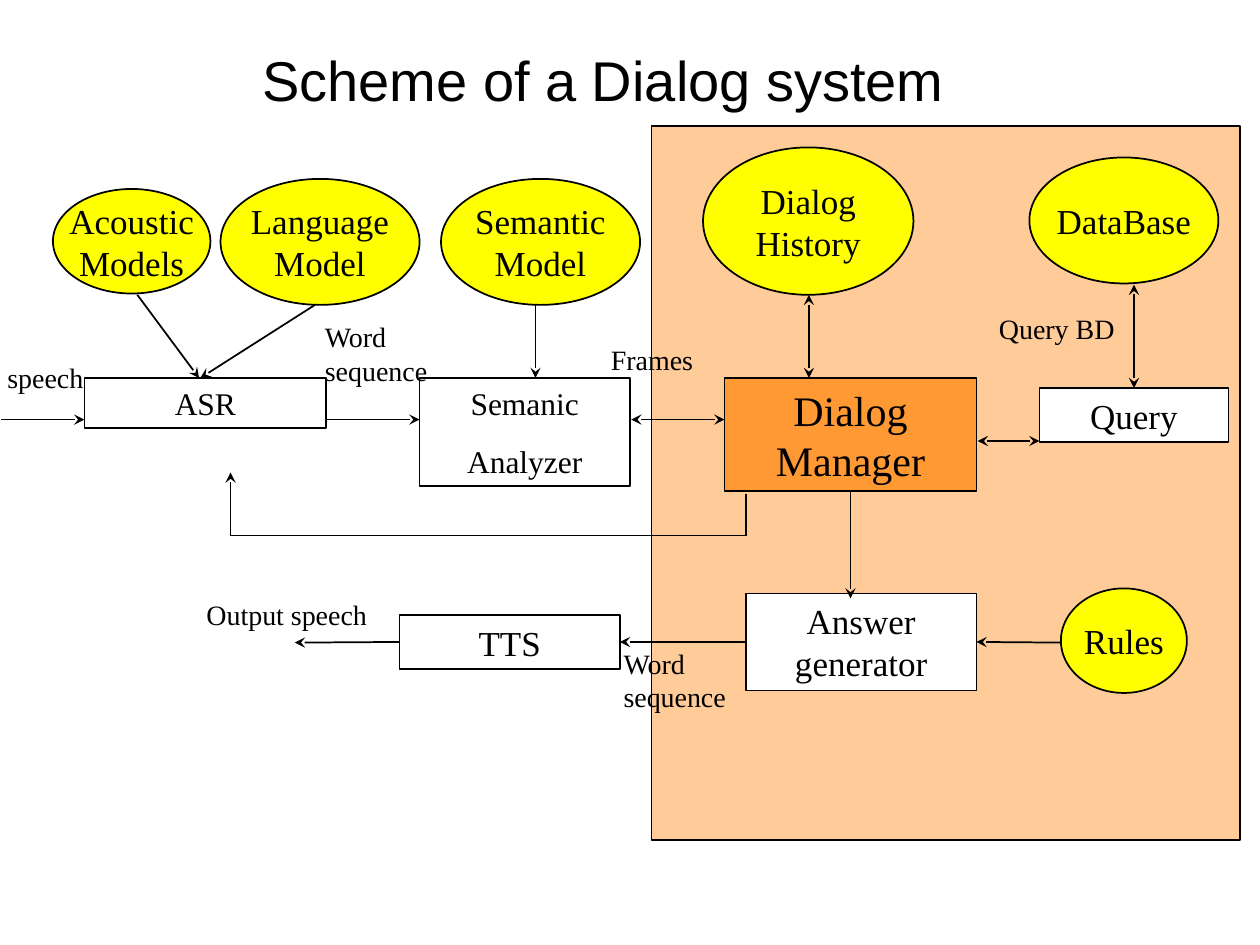
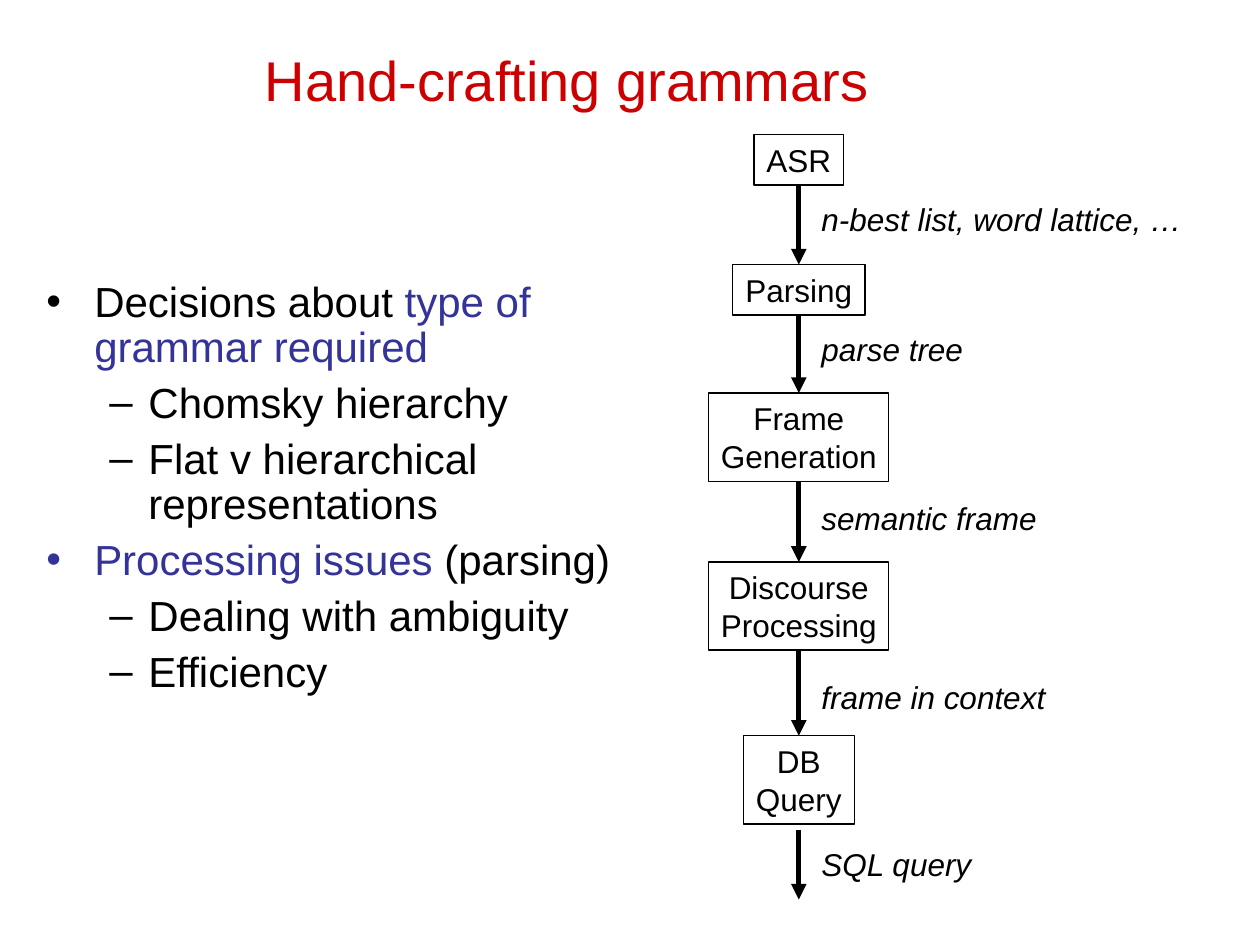
from dataclasses import dataclass
from itertools import pairwise
from typing import Optional

from lxml.etree import SubElement
from pptx import Presentation
from pptx.dml.color import RGBColor
from pptx.enum.shapes import MSO_CONNECTOR, MSO_SHAPE
from pptx.enum.text import MSO_ANCHOR, PP_ALIGN
from pptx.oxml.ns import qn
from pptx.util import Inches, Pt

BLACK = RGBColor(0x00, 0x00, 0x00)
WHITE = RGBColor(0xFF, 0xFF, 0xFF)
YELLOW = RGBColor(0xFF, 0xFF, 0x00)
PEACH = RGBColor(0xFF, 0xCC, 0x99)
ORANGE = RGBColor(0xFF, 0x99, 0x33)
RED = RGBColor(0xCC, 0x00, 0x00)
INDIGO = RGBColor(0x33, 0x33, 0x99)
SANS = "Arial"
SERIF = "Times New Roman"
TOP, LEFT, BOTTOM, RIGHT = range(4)
FLOW_AXIS = 6.34


@dataclass(frozen=True)
class Node:
    lines: tuple[str, ...]
    left: float
    top: float
    width: float
    height: float
    fill: Optional[RGBColor] = WHITE
    kind: MSO_SHAPE = MSO_SHAPE.RECTANGLE
    size: float = 20
    font: str = SERIF
    line_width: float = 1
    space_before: float = 0
    wrap: bool = True


@dataclass(frozen=True)
class Label:
    lines: tuple[str, ...]
    left: float
    top: float
    width: float
    height: float = 0.37
    size: float = 16
    font: str = SERIF
    italic: bool = False


@dataclass(frozen=True)
class Arrow:
    start: tuple[float, float]
    end: tuple[float, float]
    head: str = "none"
    tail: str = "stealth"
    width: float = 1
    start_join: Optional[tuple[str, int]] = None
    end_join: Optional[tuple[str, int]] = None


@dataclass(frozen=True)
class Bullet:
    runs: tuple[tuple[str, RGBColor], ...]
    level: int = 0


@dataclass(frozen=True)
class Step:
    lines: tuple[str, ...]
    top: float
    width: float
    output: str
    output_top: float
    output_width: float

    @property
    def height(self) -> float:
        return 0.4 if len(self.lines) == 1 else 0.7


def ellipse(lines: tuple[str, ...], left: float, top: float, width: float, height: float) -> Node:
    return Node(lines, left, top, width, height, YELLOW, MSO_SHAPE.OVAL, wrap=False)


NODES = {
    "panel": Node((), 5.17, 1, 4.67, 5.67, PEACH),
    "analyzer": Node(("Semanic", "Analyzer"), 3.33, 3, 1.67, 0.86, size=18, space_before=11.2),
    "recognizer": Node(("ASR",), 0.67, 3, 1.92, 0.4, size=18),
    "synthesis": Node(("TTS",), 3.17, 4.88, 1.75, 0.43),
    "manager": Node(("Dialog Manager",), 5.75, 3, 2, 0.9, ORANGE, size=24),
    "query": Node(("Query",), 8.25, 3.08, 1.5, 0.43),
    "generator": Node(("Answer generator",), 5.92, 4.71, 1.83, 0.77),
    "acoustic": ellipse(("Acoustic", "Models"), 0.42, 1.5, 1.25, 0.83),
    "language": ellipse(("Language", "Model"), 1.75, 1.42, 1.58, 1),
    "semantic": ellipse(("Semantic", "Model"), 3.5, 1.42, 1.58, 1),
    "history": ellipse(("Dialog", "History"), 5.58, 1.17, 1.67, 1.17),
    "database": ellipse(("DataBase",), 8.17, 1.25, 1.5, 1),
    "rules": ellipse(("Rules",), 8.42, 4.67, 1, 0.83),
}

ARROWS = (
    Arrow((0.01, 3.33), (0.67, 3.33)),
    Arrow((1.09, 2.34), (1.58, 3)),
    Arrow((2.5, 2.42), (1.59, 3)),
    Arrow((4.25, 2.42), (4.25, 3)),
    Arrow((2.59, 3.33), (3.33, 3.33)),
    Arrow((5.01, 3.33), (5.75, 3.33), head="stealth"),
    Arrow((6.42, 2.34), (6.42, 3), head="stealth"),
    Arrow((9, 2.26), (9, 3.08), head="stealth"),
    Arrow((7.76, 3.5), (8.25, 3.5), head="stealth"),
    Arrow((6.75, 3.9), (6.75, 4.75), start_join=("manager", BOTTOM)),
    Arrow((8.42, 5.1), (7.75, 5.1), end_join=("generator", RIGHT)),
    Arrow((5.92, 5.1), (4.92, 5.1), start_join=("generator", LEFT), end_join=("synthesis", RIGHT)),
    Arrow((3.17, 5.1), (2.34, 5.1), start_join=("synthesis", LEFT)),
)

FEEDBACK_PATH = ((5.92, 3.92), (5.92, 4.25), (1.83, 4.25), (1.83, 3.75))

LABELS = (
    Label(("speech",), -0.04, 2.81, 0.81),
    Label(("Word", "sequence"), 2.48, 2.49, 1.01, 0.63),
    Label(("Word", "sequence"), 4.85, 5.08, 1.01, 0.63),
    Label(("Output speech",), 1.54, 4.69, 1.48),
    Label(("Query BD",), 7.83, 2.42, 1.12),
    Label(("Frames",), 4.75, 2.67, 0.85),
)

BULLETS = (
    Bullet((("Decisions about ", BLACK), ("type of grammar required", INDIGO))),
    Bullet((("Chomsky hierarchy", BLACK),), 1),
    Bullet((("Flat v hierarchical representations", BLACK),), 1),
    Bullet((("Processing issues", INDIGO), (" (parsing)", BLACK))),
    Bullet((("Dealing with ambiguity", BLACK),), 1),
    Bullet((("Efficiency", BLACK),), 1),
)
BULLET_STYLES = (("•", 0.38, 0.38), ("–", 0.81, 0.31))

STEPS = (
    Step(("ASR",), 1.07, 0.71, "n-best list, word lattice, …", 1.54, 3.06),
    Step(("Parsing",), 2.1, 1.05, "parse tree", 2.57, 1.33),
    Step(("Frame", "Generation"), 3.12, 1.43, "semantic frame", 3.91, 1.91),
    Step(("Discourse", "Processing"), 4.46, 1.43, "frame in context", 5.33, 1.98),
    Step(("DB", "Query"), 5.84, 0.88, "SQL query", 6.66, 1.39),
)


def style_font(font, name: str, size: float, color: RGBColor = BLACK, italic: bool = False) -> None:
    font.name = name
    font.size = Pt(size)
    font.color.rgb = color
    font.italic = italic


def write_lines(frame, item, alignment: PP_ALIGN, space_before: float = 0) -> None:
    for index, line in enumerate(item.lines):
        paragraph = frame.add_paragraph() if index else frame.paragraphs[0]
        paragraph.text = line
        paragraph.alignment = alignment
        paragraph.space_before = Pt(space_before if index else 0)
        style_font(paragraph.font, item.font, item.size, italic=getattr(item, "italic", False))


def add_titled_slide(presentation, title: str, color: RGBColor,
                     left: float, top: float, width: float, height: float):
    slide = presentation.slides.add_slide(presentation.slide_layouts[5])
    shape = slide.shapes.title
    shape.left, shape.top = Inches(left), Inches(top)
    shape.width, shape.height = Inches(width), Inches(height)
    shape.text_frame.text = title
    shape.text_frame.vertical_anchor = MSO_ANCHOR.MIDDLE
    paragraph = shape.text_frame.paragraphs[0]
    paragraph.alignment = PP_ALIGN.CENTER
    style_font(paragraph.font, SANS, 32, color)
    return slide


def add_node(slide, node: Node):
    shape = slide.shapes.add_shape(node.kind, Inches(node.left), Inches(node.top),
                                   Inches(node.width), Inches(node.height))
    shape.shadow.inherit = False
    if node.fill is None:
        shape.fill.background()
    else:
        shape.fill.solid()
        shape.fill.fore_color.rgb = node.fill
    shape.line.color.rgb = BLACK
    shape.line.width = Pt(node.line_width)
    frame = shape.text_frame
    frame.word_wrap = node.wrap
    is_ellipse = node.kind == MSO_SHAPE.OVAL
    frame.vertical_anchor = MSO_ANCHOR.MIDDLE if is_ellipse else MSO_ANCHOR.TOP
    write_lines(frame, node, PP_ALIGN.CENTER, node.space_before)
    return shape


def add_label(slide, label: Label) -> None:
    shape = slide.shapes.add_textbox(Inches(label.left), Inches(label.top),
                                     Inches(label.width), Inches(label.height))
    shape.text_frame.word_wrap = False
    write_lines(shape.text_frame, label, PP_ALIGN.LEFT)


def add_arrow(slide, arrow: Arrow, nodes: dict) -> None:
    connector = slide.shapes.add_connector(
        MSO_CONNECTOR.STRAIGHT, *map(Inches, arrow.start), *map(Inches, arrow.end))
    if arrow.start_join:
        name, side = arrow.start_join
        connector.begin_connect(nodes[name], side)
    if arrow.end_join:
        name, side = arrow.end_join
        connector.end_connect(nodes[name], side)
    connector.line.color.rgb = BLACK
    connector.line.width = Pt(arrow.width)
    properties = connector._element.spPr
    line = properties.find(qn("a:ln"))
    SubElement(line, qn("a:headEnd"), type=arrow.head)
    SubElement(line, qn("a:tailEnd"), type=arrow.tail)
    SubElement(properties, qn("a:effectLst"))


def add_bullets(slide) -> None:
    shape = slide.shapes.add_textbox(Inches(0.27), Inches(2.18), Inches(5.04), Inches(4.99))
    frame = shape.text_frame
    frame.word_wrap = True
    for index, bullet in enumerate(BULLETS):
        paragraph = frame.add_paragraph() if index else frame.paragraphs[0]
        paragraph.level = bullet.level
        symbol, margin, hanging = BULLET_STYLES[bullet.level]
        properties = paragraph._p.get_or_add_pPr()
        properties.set("marL", str(Inches(margin)))
        properties.set("indent", str(-Inches(hanging)))
        color = SubElement(properties, qn("a:buClr"))
        SubElement(color, qn("a:srgbClr"), val=str(bullet.runs[0][1]))
        SubElement(properties, qn("a:buFont"), typeface=SANS)
        SubElement(properties, qn("a:buChar"), char=symbol)
        paragraph.line_spacing = 0.9
        paragraph.space_before = Pt(6 if index else 0)
        style_font(paragraph.font, SANS, 24)
        for text, run_color in bullet.runs:
            run = paragraph.add_run()
            run.text = text
            run.font.color.rgb = run_color


def build_dialog_scheme(presentation) -> None:
    slide = add_titled_slide(presentation, "Scheme of a Dialog system", BLACK, 0.83, 0.17, 7.92, 0.92)
    nodes = {name: add_node(slide, node) for name, node in NODES.items()}
    for arrow in ARROWS:
        add_arrow(slide, arrow, nodes)
    for start, end in pairwise(FEEDBACK_PATH):
        tail = "stealth" if end == FEEDBACK_PATH[-1] else "none"
        add_arrow(slide, Arrow(start, end, tail=tail), nodes)
    for label in LABELS:
        add_label(slide, label)


def build_grammars(presentation) -> None:
    slide = add_titled_slide(presentation, "Hand-crafting grammars", RED, 0, 0, 9, 1.25)
    add_bullets(slide)
    boxes = {}
    for step in STEPS:
        boxes[step.output] = add_node(slide, Node(
            step.lines, FLOW_AXIS - step.width / 2, step.top, step.width, step.height,
            None, size=18, font=SANS, line_width=0.75, wrap=False))
        add_label(slide, Label((step.output,), FLOW_AXIS + 0.08, step.output_top,
                               step.output_width, 0.4, 18, SANS, True))
    for step, following in pairwise(STEPS):
        add_arrow(slide, Arrow((FLOW_AXIS, step.top + step.height), (FLOW_AXIS, following.top),
                               tail="triangle", width=3, start_join=(step.output, BOTTOM),
                               end_join=(following.output, TOP)), boxes)
    add_arrow(slide, Arrow((FLOW_AXIS, 6.59), (FLOW_AXIS, 7.14), tail="triangle", width=3), boxes)


def main() -> None:
    presentation = Presentation()
    presentation.slide_width, presentation.slide_height = Inches(10), Inches(7.5)
    build_dialog_scheme(presentation)
    build_grammars(presentation)
    presentation.save("out.pptx")


if __name__ == "__main__":
    main()
